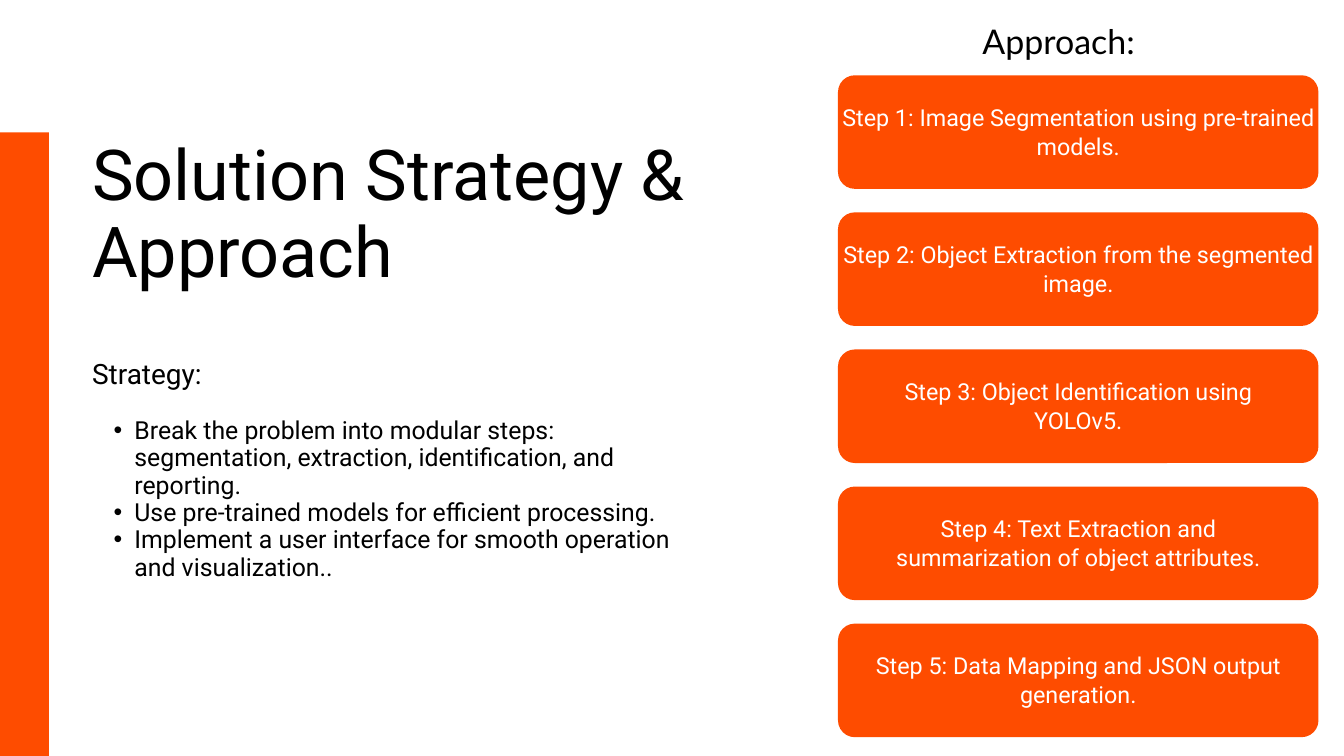
from lxml import etree
from pptx import Presentation
from pptx.dml.color import RGBColor
from pptx.enum.shapes import MSO_SHAPE
from pptx.enum.text import MSO_ANCHOR, MSO_AUTO_SIZE, PP_ALIGN
from pptx.oxml.ns import qn
from pptx.util import Pt

# Content
TITLE = "Solution Strategy & Approach"
STRATEGY_HEADING = "Strategy:"
STRATEGY = [
    "Break the problem into modular steps: segmentation, extraction, identification, and reporting.",
    "Use pre-trained models for efficient processing.",
    "Implement a user interface for smooth operation and visualization..",
]
APPROACH_HEADING = "Approach:"
STEPS = [
    "Step 1: Image Segmentation using pre-trained models.",
    "Step 2: Object Extraction from the segmented image.",
    "Step 3: Object Identification using\nYOLOv5.",
    "Step 4: Text Extraction and\nsummarization of object attributes.",
    "Step 5: Data Mapping and JSON output generation.",
]

# Style and layout, in px (100 px to the inch)
PX = 9144
ORANGE = RGBColor(0xFE, 0x4C, 0x00)
WHITE = RGBColor(0xFF, 0xFF, 0xFF)
BLACK = RGBColor(0x00, 0x00, 0x00)
RECTANGLE, ROUNDED = MSO_SHAPE.RECTANGLE, MSO_SHAPE.ROUNDED_RECTANGLE
LEFT, CENTER = PP_ALIGN.LEFT, PP_ALIGN.CENTER
TOP, MIDDLE = MSO_ANCHOR.TOP, MSO_ANCHOR.MIDDLE
NO_AUTOFIT = MSO_AUTO_SIZE.NONE
STEP_LEFT, STEP_TOP, STEP_WIDTH, STEP_HEIGHT = 1247, 112, 715, 169
STEP_PITCH, STEP_RADIUS, STEP_INSET = 204, 25, 6
TEXT_RISE = 4


def px(*lengths):
    return [length * PX for length in lengths]


def add_block(shapes, kind, *place):
    block = shapes.add_shape(kind, *px(*place))
    block.shadow.inherit = False
    block.fill.solid()
    block.fill.fore_color.rgb = ORANGE
    block.line.fill.background()
    return block


def set_frame(frame, text, inset=0, anchor=TOP):
    frame.text = text
    frame.word_wrap = True
    frame.auto_size = NO_AUTOFIT
    frame.vertical_anchor = anchor
    frame.margin_left = frame.margin_right = inset * PX
    frame.margin_top = frame.margin_bottom = inset * PX


def format_paragraph(para, size, spacing, color=BLACK, font="Roboto", align=LEFT):
    para.alignment = align
    para.line_spacing = Pt(spacing)
    para.space_before = para.space_after = Pt(0)
    para.font.name, para.font.size = font, Pt(size)
    para.font.color.rgb = color


def set_bullet(para, indent, hanging, char=None):
    properties = para._p.get_or_add_pPr()
    properties.set("marL", str(indent * PX))
    properties.set("indent", str(-hanging * PX))
    if char:
        etree.SubElement(properties, qn("a:buFont")).set("typeface", "Arial")
        bullet = etree.SubElement(properties, qn("a:buChar"))
        bullet.set("char", char)
    else:
        bullet = etree.SubElement(properties, qn("a:buNone"))
    # Bullet settings come before the default run properties
    defaults = properties.find(qn("a:defRPr"))
    if defaults is not None:
        properties.append(defaults)


def place_shape(shape, *place):
    shape.left, shape.top, shape.width, shape.height = px(*place)


def main():
    deck = Presentation()
    deck.slide_width, deck.slide_height = px(2000, 1125)
    page = deck.slides.add_slide(deck.slide_layouts[1])

    # Side bar
    add_block(page.shapes, RECTANGLE, 0, 197, 73, 928)

    # Title
    title = page.shapes.title
    place_shape(title, 137, 204, 1001, 232)
    set_frame(title.text_frame, TITLE)
    format_paragraph(title.text_frame.paragraphs[0], 75.2, 82.7)

    # Strategy list
    body = page.placeholders[1]
    place_shape(body, 137, 534, 863, 412)
    set_frame(body.text_frame, "\n".join([STRATEGY_HEADING, *STRATEGY]))
    heading, *items = body.text_frame.paragraphs
    format_paragraph(heading, 30, 33)
    heading.space_after = Pt(29.3)
    set_bullet(heading, 0, 0)
    for item in items:
        format_paragraph(item, 26.6, 29.3)
        set_bullet(item, 63, 31, "•")

    # Approach heading
    label = page.shapes.add_textbox(*px(1462, 35, 285, 58))
    set_frame(label.text_frame, APPROACH_HEADING)
    format_paragraph(label.text_frame.paragraphs[0], 36.4, 40, font="Lato")

    # Step boxes, each grouped with its full-width caption
    for index, step in enumerate(STEPS):
        top = STEP_TOP + index * STEP_PITCH
        group = page.shapes.add_group_shape()
        box = add_block(group.shapes, ROUNDED, STEP_LEFT, top, STEP_WIDTH, STEP_HEIGHT)
        box.adjustments[0] = STEP_RADIUS / STEP_HEIGHT
        caption = group.shapes.add_textbox(
            *px(STEP_LEFT, top - TEXT_RISE, STEP_WIDTH, STEP_HEIGHT + TEXT_RISE))
        set_frame(caption.text_frame, step, STEP_INSET, MIDDLE)
        for para in caption.text_frame.paragraphs:
            format_paragraph(para, 25, 31.2, WHITE, align=CENTER)

    deck.save("out.pptx")


if __name__ == "__main__":
    main()
